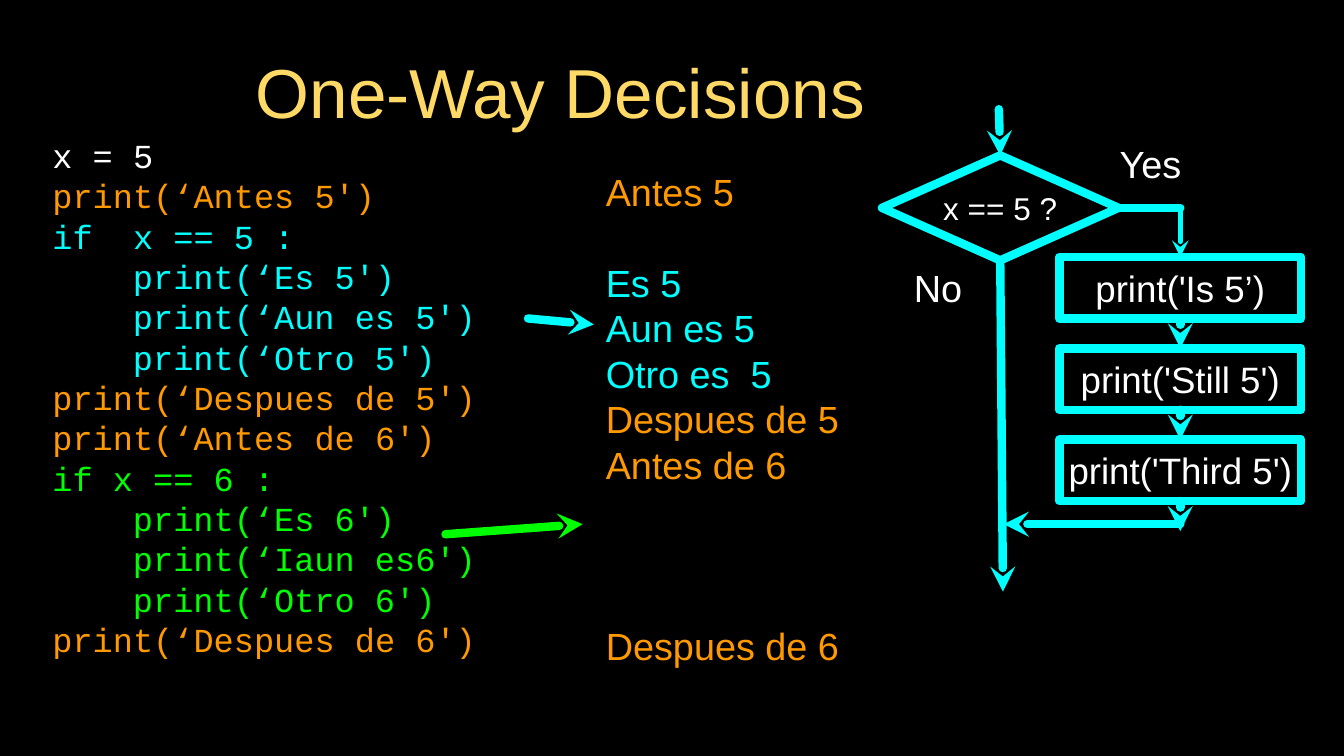
from dataclasses import dataclass

from lxml.etree import SubElement
from pptx import Presentation
from pptx.dml.color import RGBColor as RGB
from pptx.enum.shapes import MSO_CONNECTOR as LINE, MSO_SHAPE as SHAPE
from pptx.enum.text import MSO_ANCHOR as ANCHOR, PP_ALIGN as ALIGN
from pptx.oxml.ns import qn
from pptx.util import Pt


@dataclass(frozen=True)
class Theme:
    back: RGB = RGB(0, 0, 0)
    gold: RGB = RGB(0xFF, 0xD9, 0x66)
    white: RGB = RGB(0xFF, 0xFF, 0xFF)
    orange: RGB = RGB(0xFF, 0x99, 0)
    cyan: RGB = RGB(0, 0xFF, 0xFF)
    green: RGB = RGB(0, 0xFF, 0)
    sans: str = "Arial"
    mono: str = "Courier New"
    title: float = 49.5
    code: float = 24
    body: float = 27
    test: float = 22.5
    step: float = 26.2
    thick: float = 6
    thin: float = 4
    pitch: float = 1.2


T = Theme()
TOP, LEFT, BOTTOM, RIGHT = range(4)

# Indent level, text, colour
CODE = [
    (0, "x = 5", T.white),
    (0, "print(‘Antes 5')", T.orange),
    (0, "if  x == 5 :", T.cyan),
    (1, "print(‘Es 5')", T.cyan),
    (1, "print(‘Aun es 5')", T.cyan),
    (1, "print(‘Otro 5')", T.cyan),
    (0, "print(‘Despues de 5')", T.orange),
    (0, "print(‘Antes de 6')", T.orange),
    (0, "if x == 6 :", T.green),
    (1, "print(‘Es 6')", T.green),
    (1, "print(‘Iaun es6')", T.green),
    (1, "print(‘Otro 6')", T.green),
    (0, "print(‘Despues de 6')", T.orange),
]
# Lines skipped above, text, colour
OUTPUT = [
    (0, "Antes 5", T.orange),
    (1, "Es 5", T.cyan),
    (0, "Aun es 5", T.cyan),
    (0, "Otro es  5", T.cyan),
    (0, "Despues de 5", T.orange),
    (0, "Antes de 6", T.orange),
    (3, "Despues de 6", T.orange),
]
STEPS = ["print('Is 5’)", "print('Still 5')", "print('Third 5')"]


def setup(frame, wrap=True):
    """Remove the insets and centre the text vertically."""
    frame.margin_left = frame.margin_right = 0
    frame.margin_top = frame.margin_bottom = 0
    frame.vertical_anchor = ANCHOR.MIDDLE
    frame.word_wrap = wrap
    return frame


def text_box(slide, box):
    return setup(slide.shapes.add_textbox(*map(Pt, box)).text_frame)


def write(para, text, size, color, font=T.sans):
    run = para.add_run()
    run.text = text
    run.font.size = Pt(size)
    run.font.name = font
    run.font.color.rgb = color


def label(frame, text, size, color=T.white):
    """Write one centred line."""
    para = frame.paragraphs[0]
    para.alignment = ALIGN.CENTER
    write(para, text, size, color)


def rows(frame, count, size):
    """Yield evenly spaced paragraphs."""
    for i in range(count):
        para = frame.add_paragraph() if i else frame.paragraphs[0]
        para.line_spacing = Pt(size * T.pitch)
        yield para


def node(slide, kind, box, text, size):
    """Add an outlined flowchart shape."""
    shape = slide.shapes.add_shape(kind, *map(Pt, box))
    shape.shadow.inherit = False
    shape.fill.background()
    shape.line.color.rgb = T.cyan
    shape.line.width = Pt(T.thick)
    SubElement(shape.line._get_or_add_ln(), qn("a:round"))
    label(setup(shape.text_frame, False), text, size)
    return shape


def link(slide, start, end, color=T.cyan, width=T.thick, tip=True):
    """Join two ends, each a point or a (shape, side) pair."""
    fixed = [isinstance(e[0], (int, float)) for e in (start, end)]
    a = start if fixed[0] else (0, 0)
    b = end if fixed[1] else (0, 0)
    line = slide.shapes.add_connector(LINE.STRAIGHT, *map(Pt, (*a, *b)))
    if not fixed[0]:
        line.begin_connect(*start)
    if not fixed[1]:
        line.end_connect(*end)
    line.line.color.rgb = color
    line.line.width = Pt(width)
    ln = line.line._get_or_add_ln()
    ln.set("cap", "rnd")
    SubElement(ln, qn("a:round"))
    if tip:
        SubElement(ln, qn("a:tailEnd"), type="stealth")
    SubElement(line._element.spPr, qn("a:effectLst"))


def heading(slide, box):
    label(text_box(slide, box), "One-Way Decisions", T.title, T.gold)


def code(slide, box):
    paras = rows(text_box(slide, box), len(CODE), T.code)
    for para, (level, text, color) in zip(paras, CODE):
        if level:
            indent = level * 4 * 0.6 * T.code
            para._p.get_or_add_pPr().set("marL", str(Pt(indent)))
        write(para, text, T.code, color, T.mono)


def output(slide, box):
    paras = rows(text_box(slide, box), len(OUTPUT), T.body)
    for para, (skip, text, color) in zip(paras, OUTPUT):
        if skip:
            para.space_before = Pt(skip * T.body * T.pitch)
        write(para, text, T.body, color)


def hints(slide, box):
    """Point from the code to its output."""
    x, y, w, h = box
    link(slide, (x + 59, y), (x + 106, y + 4.3), T.cyan)
    link(slide, (x, y + h), (x + 98, y + h - 7.2), T.green)


def flow(slide, box):
    x, y, w, h = box
    test = node(slide, SHAPE.DIAMOND, (x, y + 33, 169, 75), "x == 5 ?", T.test)
    wide, high, pitch = 172.8, 43.9, 65.2
    left = x + w - wide
    steps = [
        node(slide, SHAPE.RECTANGLE, (left, y + 105.6 + i * pitch, wide, high), text, T.step)
        for i, text in enumerate(STEPS)
    ]
    mid, turn, merge = left + wide / 2, y + 70.5, y + 296.4

    link(slide, (x + 83.5, y), (test, TOP))
    link(slide, (test, BOTTOM), (x + 86.4, y + h))
    link(slide, (test, RIGHT), (mid, turn), tip=False)
    link(slide, (mid, turn), (steps[0], TOP), width=T.thin)
    for upper, lower in zip(steps, steps[1:]):
        link(slide, (upper, BOTTOM), (lower, TOP))
    link(slide, (steps[-1], BOTTOM), (mid, merge + 5))
    link(slide, (mid, merge), (x + 87, merge))

    label(text_box(slide, (x + 159, y + 20.6, 65.5, 36.7)), "Yes", T.body)
    label(text_box(slide, (x + 18.7, y + 109.2, 42.5, 36.7)), "No", T.body)


def main():
    deck = Presentation()
    deck.slide_width, deck.slide_height = Pt(960), Pt(540)
    slide = deck.slides.add_slide(deck.slide_layouts[6])
    slide.background.fill.solid()
    slide.background.fill.fore_color.rgb = T.back
    heading(slide, (119.5, 33, 561.6, 63.4))
    code(slide, (37.4, 91.4, 337.7, 384.5))
    output(slide, (432.7, 123, 167, 352))
    hints(slide, (318.2, 227.5, 106, 154.1))
    flow(slide, (630, 78, 299.5, 344.6))
    deck.save("out.pptx")


if __name__ == "__main__":
    main()
